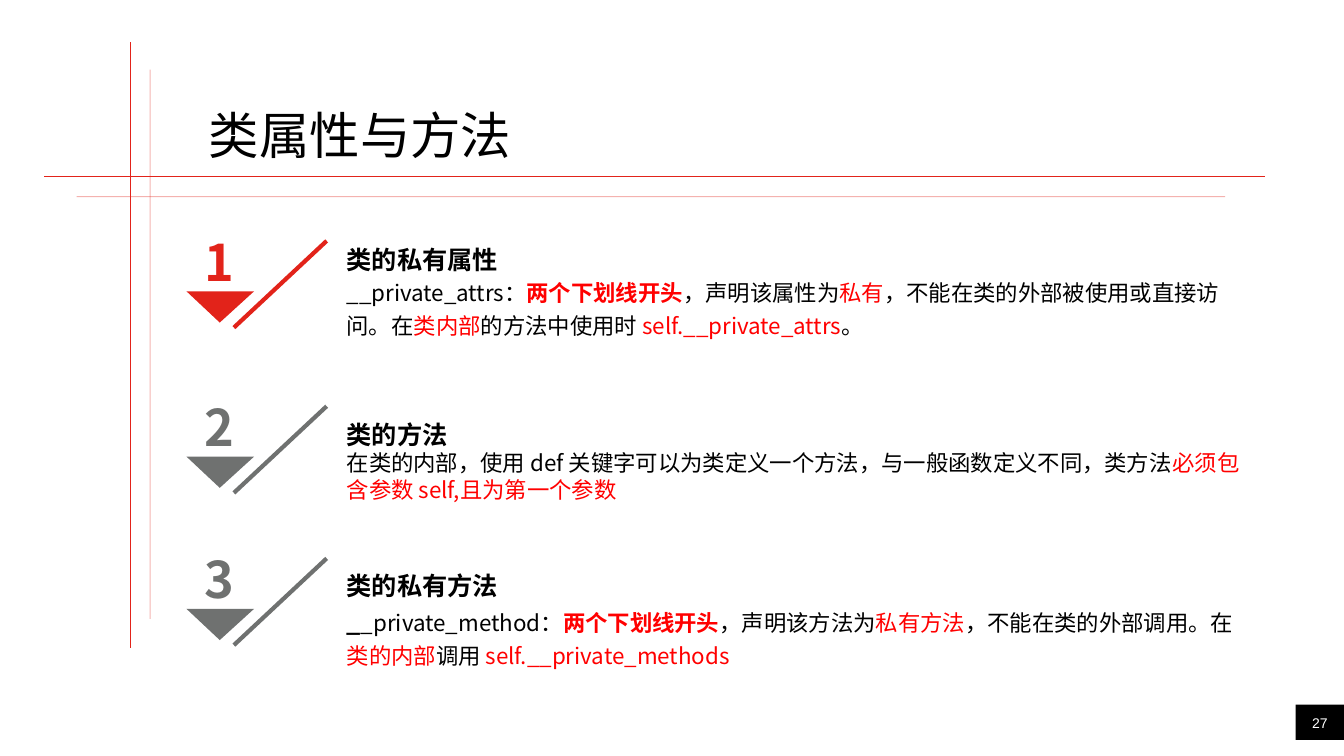
import pptx
import pptx.util
import pptx.dml.color
import pptx.enum.shapes
import pptx.enum.text
import pptx.oxml.ns
import lxml.etree

COLORS = {"black": "000000", "white": "FFFFFF", "red": "FF0000",
          "brand": "E2231A", "gray": "6F7170"}
ALIGN = pptx.enum.text.PP_ALIGN
ANCHOR = pptx.enum.text.MSO_ANCHOR
FIT = pptx.enum.text.MSO_AUTO_SIZE
KIND = pptx.enum.shapes


def px(n):
    return pptx.util.Emu(n * 9144)


def rgb(name):
    return pptx.dml.color.RGBColor.from_string(COLORS[name])


def child(parent, tag, **attrs):
    return lxml.etree.SubElement(parent, pptx.oxml.ns.qn(tag), **attrs)


class Deck:
    font = "Noto Sans CJK SC"

    def __init__(self):
        self.prs = pptx.Presentation()
        self.prs.slide_width, self.prs.slide_height = px(1333), px(750)
        self.slide = self.prs.slides.add_slide(self.prs.slide_layouts[5])
        self.shapes = self.slide.shapes

    def run(self, par, text, size, color="black", bold=False, font=None):
        run = par.add_run()
        run.text = text
        run.font.size = pptx.util.Pt(size)
        run.font.bold = bold
        run.font.color.rgb = rgb(color)
        run.font.name = font or self.font
        child(run.font._element, "a:ea", typeface=font or self.font)

    def title(self, box, runs):
        title = self.shapes.title
        title.left, title.top, title.width, title.height = map(px, box)
        title.text_frame.vertical_anchor = ANCHOR.MIDDLE
        par = title.text_frame.paragraphs[0]
        par.alignment = ALIGN.CENTER
        for text, size in runs:
            self.run(par, text, size)

    def frame(self, box, shapes=None):
        frame = (shapes or self.shapes).add_textbox(*map(px, box)).text_frame
        frame.word_wrap = True
        return frame

    def label(self, box, text, size, color, shapes=None, bold=False, font=None, space=None):
        frame = self.frame(box, shapes)
        frame.margin_left = frame.margin_right = 0
        frame.margin_top = frame.margin_bottom = 0
        frame.vertical_anchor = ANCHOR.BOTTOM
        par = frame.paragraphs[0]
        par.alignment = ALIGN.CENTER
        par.line_spacing = space
        self.run(par, text, size, color, bold, font)

    def item(self, box, head, runs, space):
        frame = self.frame(box)
        frame.auto_size = FIT.SHAPE_TO_FIT_TEXT
        par = frame.paragraphs[0]
        par.line_spacing = 1.2
        self.run(par, head, 18, bold=True)
        par = frame.add_paragraph()
        par.line_spacing = space
        for text, color, bold, size in runs:
            self.run(par, text, size, color, bold)

    def rect(self, box, color):
        rect = self.shapes.add_shape(KIND.MSO_SHAPE.RECTANGLE, *map(px, box))
        self.fill(rect, color)

    def fill(self, shape, color):
        shape.shadow.inherit = False
        shape.fill.solid()
        shape.fill.fore_color.rgb = rgb(color)
        shape.line.fill.background()

    def line(self, ends, color, width, alpha=None, shapes=None):
        line = (shapes or self.shapes).add_connector(
            KIND.MSO_CONNECTOR.STRAIGHT, *map(px, ends))
        line.line.color.rgb = rgb(color)
        line.line.width = pptx.util.Pt(width)
        props = line._element.spPr
        if alpha:
            tone = props.find(".//" + pptx.oxml.ns.qn("a:srgbClr"))
            child(tone, "a:alpha", val=str(alpha * 1000))
        child(props, "a:effectLst")

    def mark(self, num, top, color):
        shapes = self.shapes.add_group_shape().shapes
        self.line((324, top + 19, 232, top + 105), color, 3, shapes=shapes)
        pen = shapes.build_freeform(px(185), px(top + 69))
        pen.add_line_segments([(px(252), px(top + 69)), (px(218), px(top + 100))])
        self.fill(pen.convert_to_shape(), color)
        self.label((182, top, 71, 69), num, 36, color, shapes, bold=True, space=1.2)


def plain(text, color="black"):
    return text, color, False, 16


def strong(text):
    return text, "red", True, 16


ITEMS = [
    ("1", 220, "brand", (334, 231, 894, 111), 1.2, "类的私有属性", [
        plain("__private_attrs："), strong("两个下划线开头"),
        plain("，声明该属性为"), plain("私有", "red"),
        plain("，不能在类的外部被使用或直接访问。在"), plain("类内部", "red"),
        plain("的方法中使用时 "), plain("self.__private_attrs", "red"), plain("。")]),
    ("2", 384, "gray", (334, 405, 911, 100), None, "类的方法", [
        plain("在类的内部，使用 def 关键字可以为类定义一个方法，与一般函数定义不同，类方法"),
        plain("必须包含参数 self,且为第一个参数", "red")]),
    ("3", 535, "gray", (334, 555, 911, 115), 1.2, "类的私有方法", [
        ("_", "black", True, 18), plain("_private_method："), strong("两个下划线开头"),
        plain("，声明该方法为"), plain("私有方法", "red"),
        plain("，不能在类的外部调用。在"), plain("类的内部", "red"),
        plain("调用"), plain(" self.__private_methods", "red")]),
]

RULES = [((149, 69, 149, 614), 32), ((44, 175, 1255, 175), None),
         ((76, 195, 1215, 195), 35), ((129, 42, 129, 643), None)]


def main():
    deck = Deck()
    deck.rect((1285, 699, 48, 35), "black")
    deck.label((1285, 699, 48, 27), "27", 10, "white", font="Arial")
    deck.title((148, 84, 405, 91), [(" ", 43), ("类属性与方法", 36)])
    for ends, alpha in RULES:
        deck.line(ends, "brand", 0.75, alpha)
    for num, top, color, box, space, head, runs in ITEMS:
        deck.mark(num, top, color)
        deck.item(box, head, runs, space)
    deck.prs.save("out.pptx")


if __name__ == "__main__":
    main()
